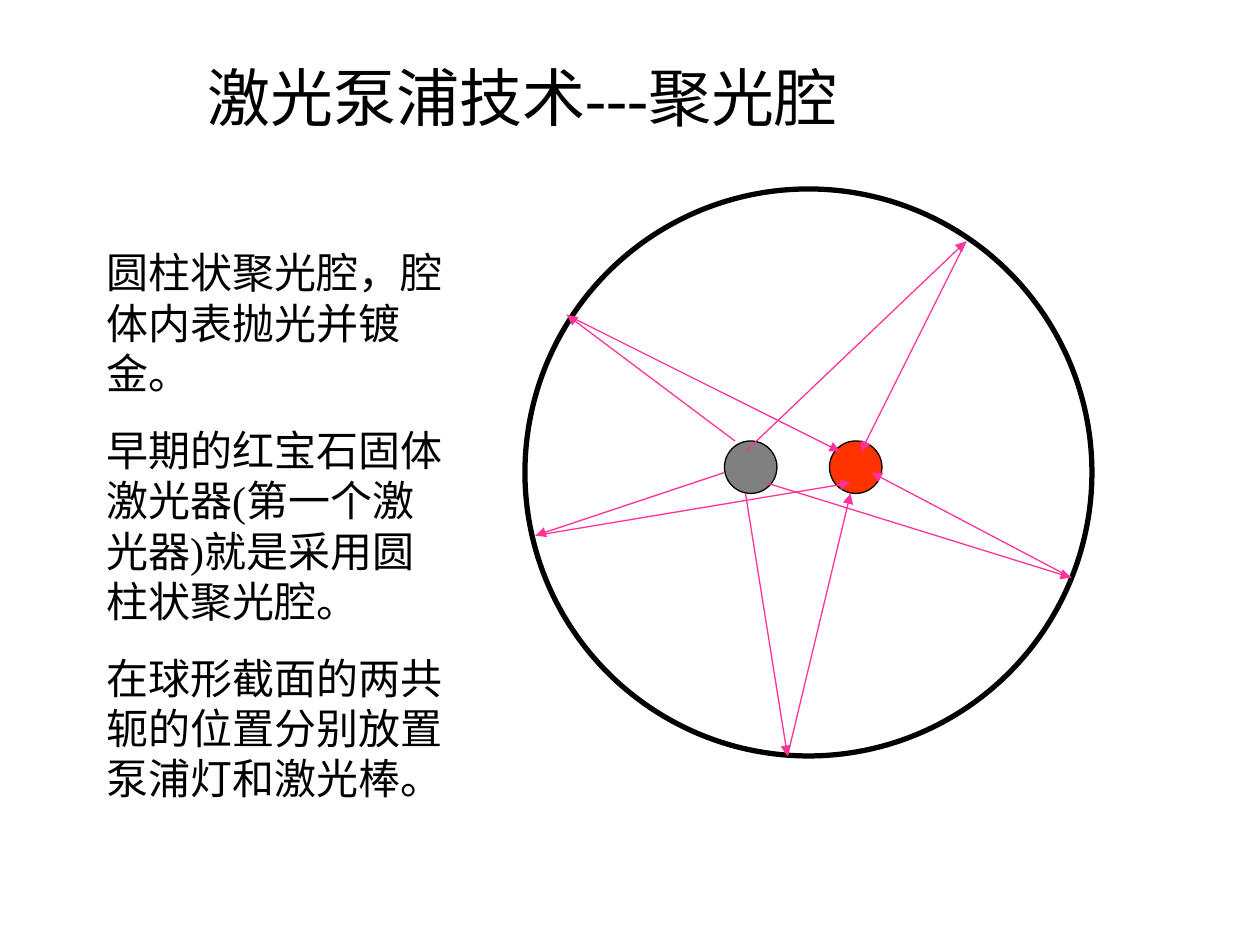
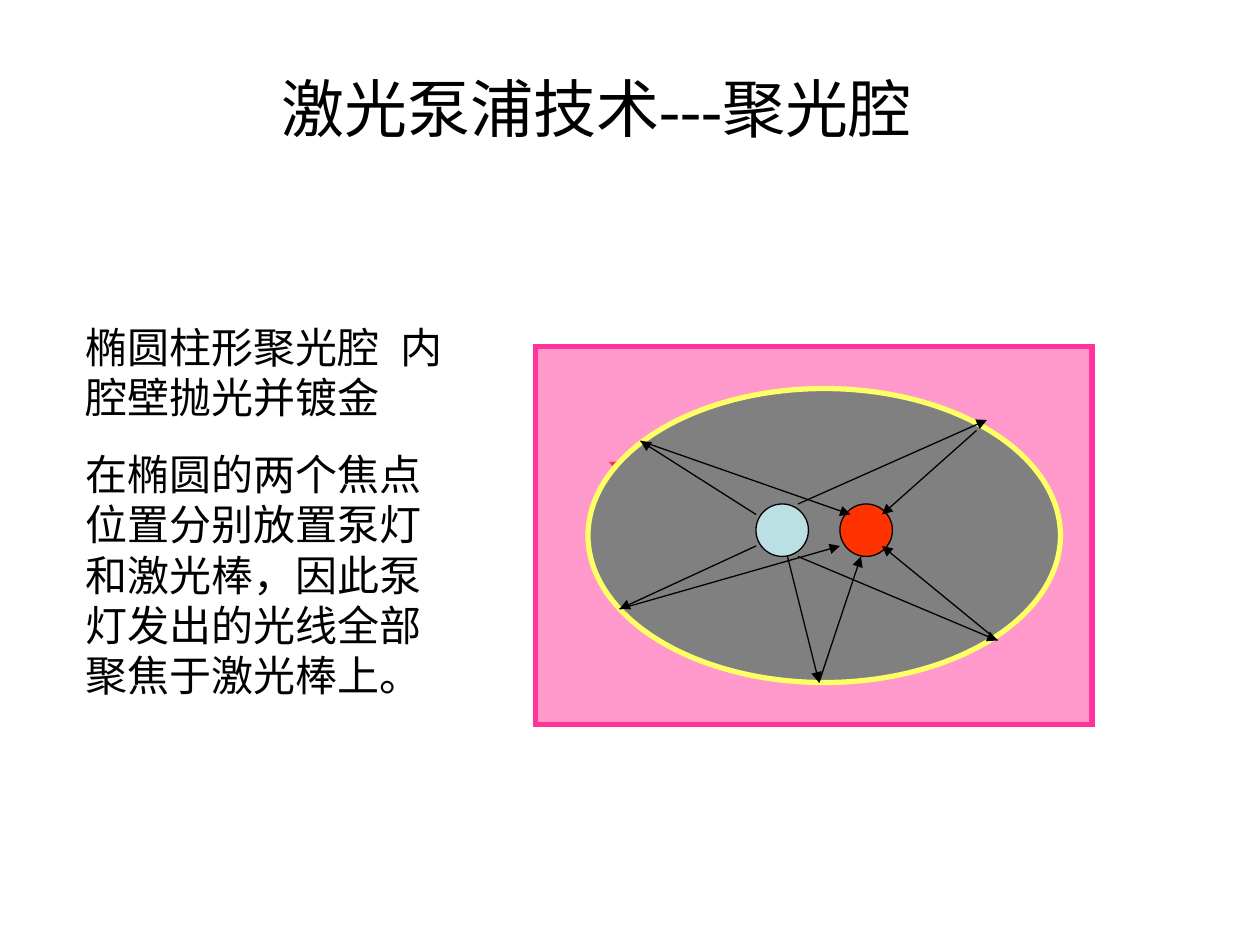
from itertools import pairwise

from lxml import etree
from pptx import Presentation
from pptx import util as u
from pptx.dml.color import RGBColor
from pptx.enum import shapes, text
from pptx.oxml.ns import qn

PX = 7620  # EMU, 120 px to the inch
FONT = "Times New Roman"
BLACK = RGBColor(0x00, 0x00, 0x00)
GRAY = RGBColor(0x80, 0x80, 0x80)
RED = RGBColor(0xFF, 0x33, 0x00)
PINK = RGBColor(0xFF, 0x33, 0x99)
YELLOW = RGBColor(0xFF, 0xFF, 0x66)
PALE_BLUE = RGBColor(0xBB, 0xE0, 0xE3)
OVAL = shapes.MSO_SHAPE.OVAL
RECTANGLE = shapes.MSO_SHAPE.RECTANGLE

TITLE = "激光泵浦技术---聚光腔"


def write_text(holder, paragraphs, box, size, wrap=True, gap=0, tab=None):
    """Place a placeholder and fill it with plain, unbulleted paragraphs."""
    holder.left, holder.top, holder.width, holder.height = (n * PX for n in box)
    frame = holder.text_frame
    frame.word_wrap = wrap
    frame.auto_size = text.MSO_AUTO_SIZE.NONE
    frame.vertical_anchor = text.MSO_ANCHOR.TOP
    for index, words in enumerate(paragraphs):
        paragraph = frame.add_paragraph() if index else frame.paragraphs[0]
        paragraph.alignment = text.PP_ALIGN.LEFT
        paragraph.space_before = u.Pt(gap if index else 0)
        properties = paragraph._p.get_or_add_pPr()
        properties.set("marL", "0")
        properties.set("indent", "0")
        properties.set("hangingPunct", "0")
        etree.SubElement(properties, qn("a:buNone"))
        if tab and "\t" in words:
            stops = etree.SubElement(properties, qn("a:tabLst"))
            etree.SubElement(stops, qn("a:tab"), pos=str(tab * PX), algn="l")
        run = paragraph.add_run()
        run.text = words
        run.font.name = FONT
        run.font.size = u.Pt(size)
        run.font.color.rgb = BLACK


def draw_rays(slide, paths, color):
    """Draw an arrow along each leg of every path."""
    for path in paths:
        for start, end in pairwise(path):
            ray = slide.shapes.add_connector(
                shapes.MSO_CONNECTOR.STRAIGHT, *(n * PX for n in start + end))
            ray.line.color.rgb = color
            ray.line.width = u.Pt(0.75)
            etree.SubElement(ray.line._get_or_add_ln(), qn("a:tailEnd"), type="triangle")
            etree.SubElement(ray._element.spPr, qn("a:effectLst"))


# Shapes: preset, box, fill, fill opacity in percent, line colour, line width
cavities = [
    dict(
        title_box=(186, 50, 653, 84),
        body_box=(89, 229, 350, 542),
        body=[
            "圆柱状聚光腔，腔体内表抛光并镀金。",
            "早期的红宝石固体激光器(第一个激光器)就是采用圆柱状聚光腔。",
            "在球形截面的两共轭的位置分别放置泵浦灯和激光棒。",
        ],
        back_rays=[],
        parts=[
            (OVAL, (500, 180, 540, 540), None, 100, BLACK, 3),
            (OVAL, (690, 420, 50, 50), GRAY, 100, BLACK, 0.75),
            (OVAL, (790, 420, 50, 50), RED, 100, BLACK, 0.75),
        ],
        ray_color=PINK,
        rays=[
            [(710, 470), (750, 720), (810, 470)],
            [(700, 420), (540, 300), (800, 430)],
            [(710, 430), (920, 230), (820, 430)],
            [(730, 460), (1020, 550), (830, 450)],
            [(690, 450), (510, 510), (810, 460)],
        ],
    ),
    dict(
        title_box=(256, 60, 653, 84),
        body_box=(69, 300, 380, 373),
        body=[
            "椭圆柱形聚光腔\t内腔壁抛光并镀金",
            "在椭圆的两个焦点位置分别放置泵灯和激光棒，因此泵灯发出的光线全部聚焦于激光棒上。",
        ],
        back_rays=[[(720, 500), (580, 440)]],
        parts=[
            (RECTANGLE, (510, 330, 530, 360), PINK, 50, PINK, 3),
            (OVAL, (560, 370, 450, 280), GRAY, 100, YELLOW, 3),
            (OVAL, (720, 480, 50, 50), PALE_BLUE, 100, BLACK, 0.75),
            (OVAL, (800, 480, 50, 50), RED, 100, BLACK, 0.75),
        ],
        ray_color=BLACK,
        rays=[
            [(750, 530), (780, 650), (820, 530)],
            [(720, 490), (610, 420), (810, 490)],
            [(760, 480), (940, 400)],
            [(930, 410), (840, 490)],
            [(720, 520), (590, 580), (800, 520)],
            [(760, 530), (950, 610), (840, 520)],
        ],
    ),
]

deck = Presentation()
deck.slide_width = 1200 * PX
deck.slide_height = 900 * PX

for cavity in cavities:
    slide = deck.slides.add_slide(deck.slide_layouts[1])
    write_text(slide.shapes.title, [TITLE], cavity["title_box"], size=36, wrap=False)
    write_text(slide.placeholders[1], cavity["body"], cavity["body_box"],
               size=24, gap=15, tab=318)

    draw_rays(slide, cavity["back_rays"], RED)
    for preset, box, fill, opacity, outline, width in cavity["parts"]:
        part = slide.shapes.add_shape(preset, *(n * PX for n in box))
        part.shadow.inherit = False
        part.line.color.rgb = outline
        part.line.width = u.Pt(width)
        etree.SubElement(part.line._get_or_add_ln(), qn("a:miter"), lim="800000")
        if fill is None:
            part.fill.background()
            continue
        part.fill.solid()
        part.fill.fore_color.rgb = fill
        if opacity < 100:
            color = part._element.spPr.find(qn("a:solidFill")).find(qn("a:srgbClr"))
            etree.SubElement(color, qn("a:alpha"), val=str(opacity * 1000))
    draw_rays(slide, cavity["rays"], cavity["ray_color"])

deck.save("out.pptx")
